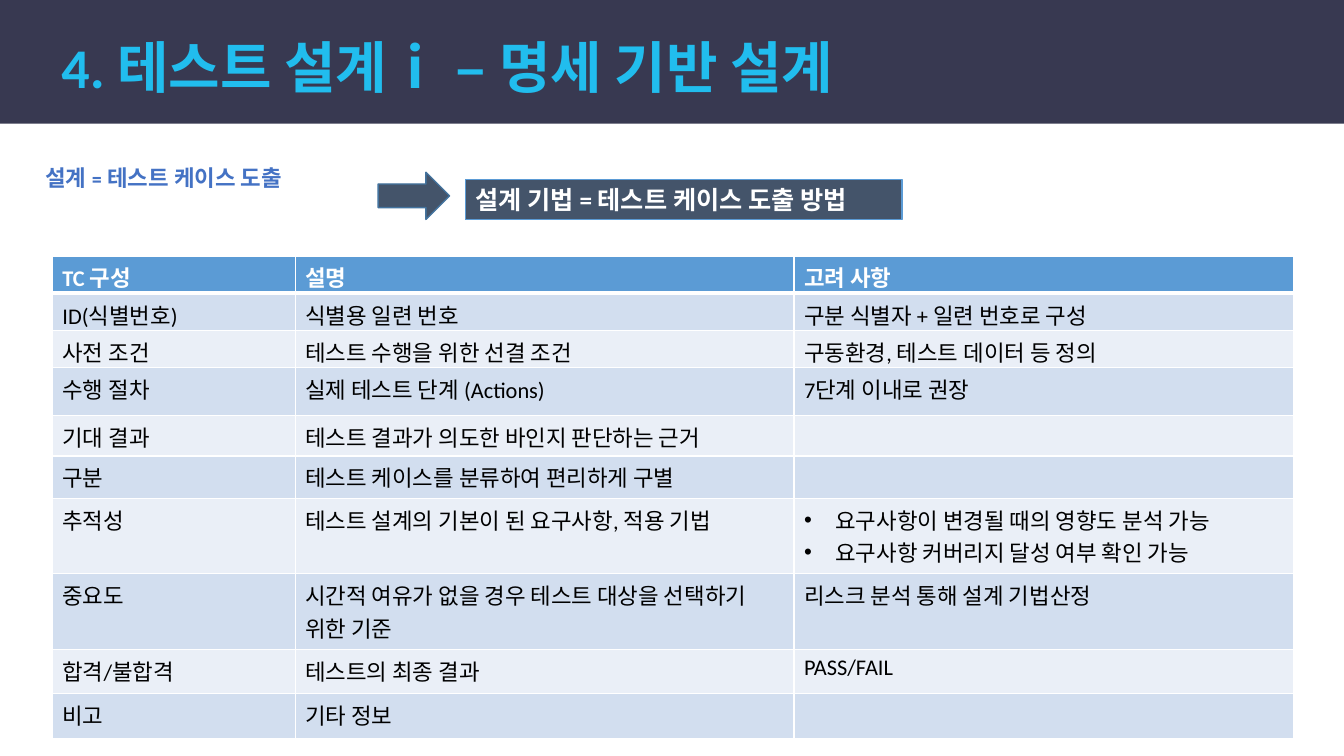
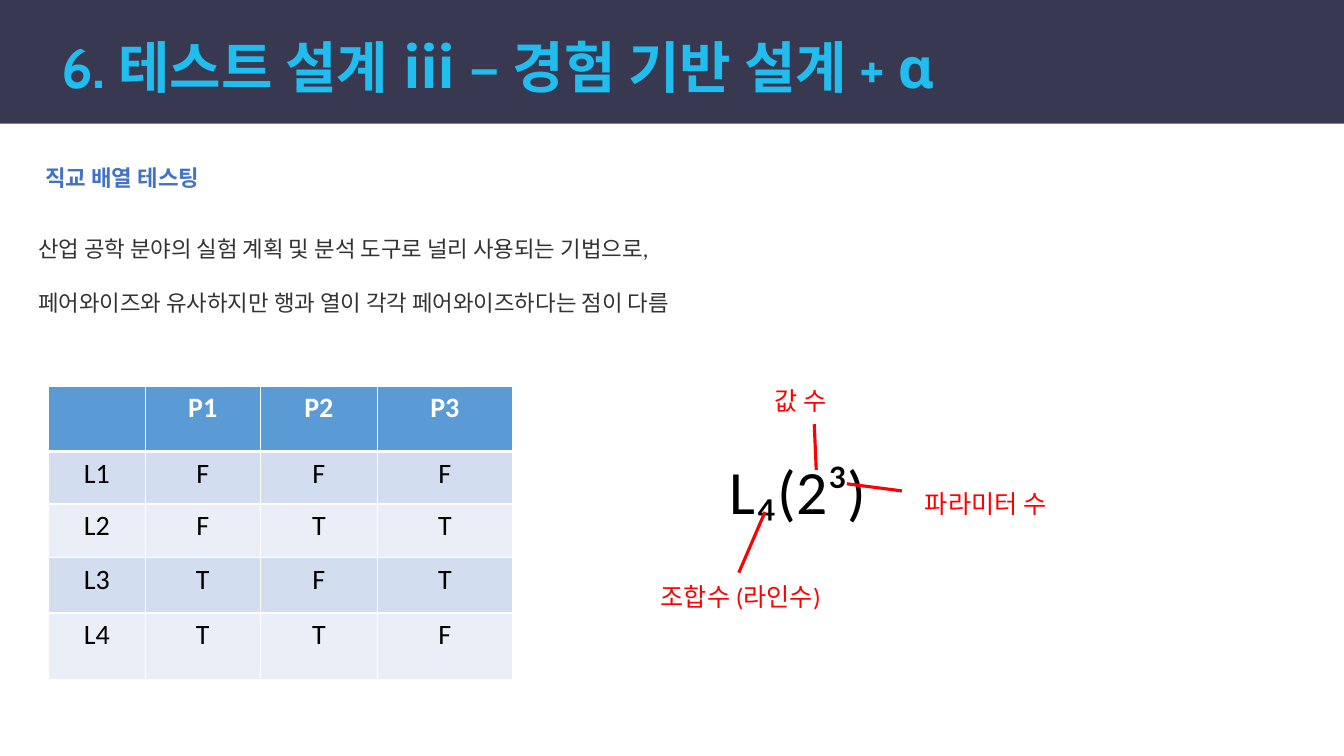
from lxml.etree import SubElement
from pptx import Presentation
from pptx.dml.color import RGBColor
from pptx.enum.shapes import MSO_CONNECTOR, MSO_SHAPE
from pptx.enum.text import MSO_ANCHOR, PP_ALIGN
from pptx.oxml.ns import qn
from pptx.util import Cm, Pt

# Shared look
SLIDE_WIDTH, SLIDE_HEIGHT = 33.87, 19.05
BAND_HEIGHT = 3.12
COLORS = {
    "band": "383951", "title": "21BDEE", "heading": "4472C4", "body": "333333",
    "slate": "44546A", "arrow_edge": "43739E", "header": "5B9BD5",
    "row_dark": "D2DEEF", "row_light": "EAEFF7",
    "white": "FFFFFF", "black": "000000", "red": "FF0000",
}
TITLE = {"name": "Calibri", "size": Pt(40), "bold": True, "color": "title"}
HEADING = {"name": "Cabin", "size": Pt(16), "bold": True, "color": "heading"}
BODY = {"name": "Lato", "size": Pt(16), "bold": False, "color": "body"}
METHOD = {"name": "Calibri", "size": Pt(18), "bold": True, "color": "white"}
CELL = {"name": "Calibri", "size": Pt(16), "bold": False, "color": "black"}
FORMULA = {"name": "Calibri", "size": Pt(44), "bold": False, "color": "black"}
LABEL = {"name": "Calibri", "size": Pt(18), "bold": False, "color": "red"}

# Slide content
TEST_CASE_ROWS = [
    ["TC 구성", "설명", "고려 사항"],
    ["ID(식별번호)", "식별용 일련 번호", "구분 식별자 + 일련 번호로 구성"],
    ["사전 조건", "테스트 수행을 위한 선결 조건", "구동환경, 테스트 데이터 등 정의"],
    ["수행 절차", "실제 테스트 단계 (Actions)", "7단계 이내로 권장"],
    ["기대 결과", "테스트 결과가 의도한 바인지 판단하는 근거", ""],
    ["구분", "테스트 케이스를 분류하여 편리하게 구별", ""],
    ["추적성", "테스트 설계의 기본이 된 요구사항, 적용 기법",
     ["요구사항이 변경될 때의 영향도 분석 가능", "요구사항 커버리지 달성 여부 확인 가능"]],
    ["중요도", "시간적 여유가 없을 경우 테스트 대상을 선택하기 위한 기준",
     "리스크 분석 통해 설계 기법산정"],
    ["합격/불합격", "테스트의 최종 결과", "PASS/FAIL"],
    ["비고", "기타 정보", ""],
]
ARRAY_ROWS = [
    ["", "P1", "P2", "P3"],
    ["L1", "F", "F", "F"],
    ["L2", "F", "T", "T"],
    ["L3", "T", "F", "T"],
    ["L4", "T", "T", "F"],
]


def color(hex_value):
    return RGBColor.from_string(hex_value)


def set_attributes(target, values):
    for name, value in values.items():
        setattr(target, name, value)


def write(paragraph, text, style):
    """Add one run of text in the given style."""
    run = paragraph.add_run()
    run.text = text
    set_attributes(run.font, {key: value for key, value in style.items() if key != "color"})
    run.font.color.rgb = color(COLORS[style["color"]])


def add_text(slide, box, lines, style, gap=0):
    """Place a wrapped text box with one paragraph for each line."""
    frame = slide.shapes.add_textbox(*map(Cm, box)).text_frame
    frame.word_wrap = True
    for index, line in enumerate(lines):
        paragraph = frame.add_paragraph() if index else frame.paragraphs[0]
        if index:
            paragraph.space_before = Pt(gap)
        write(paragraph, line, style)
    return frame


def add_box(slide, kind, box, fill, edge=None):
    """Place a flat preset shape, with a thin outline if an edge is named."""
    shape = slide.shapes.add_shape(kind, *map(Cm, box))
    shape.shadow.inherit = False
    shape.fill.solid()
    shape.fill.fore_color.rgb = color(COLORS[fill])
    if edge:
        shape.line.color.rgb = color(COLORS[edge])
        shape.line.width = Pt(1)
    else:
        shape.line.fill.background()
    return shape


def add_header(slide, title, font):
    """Title band across the top of the slide."""
    add_box(slide, MSO_SHAPE.RECTANGLE, (0, 0, SLIDE_WIDTH, BAND_HEIGHT), "band")
    frame = add_text(slide, (1.55, 0.99, 31, 1.55), [title], {**TITLE, "name": font})
    set_attributes(frame, {
        "margin_left": 0, "margin_right": 0, "margin_top": 0, "margin_bottom": 0,
        "vertical_anchor": MSO_ANCHOR.MIDDLE,
    })
    frame.paragraphs[0].line_spacing = 0.9


def add_bullet(paragraph):
    properties = paragraph._p.get_or_add_pPr()
    indent = Cm(0.79)
    properties.set("marL", str(indent))
    properties.set("indent", str(-indent))
    SubElement(properties, qn("a:buFont"), typeface="Arial")
    SubElement(properties, qn("a:buChar"), char="•")


def add_borders(cell, is_header, below_header):
    """White cell edges, with a heavy rule under the header."""
    properties = cell._tc.get_or_add_tcPr()
    widths = {"lnL": 1, "lnR": 1, "lnT": 3 if below_header else 1, "lnB": 3 if is_header else 1}
    for side, width in widths.items():
        line = SubElement(properties, qn(f"a:{side}"), w=str(Pt(width)))
        fill = SubElement(line, qn("a:solidFill"))
        SubElement(fill, qn("a:srgbClr"), val=COLORS["white"])


def add_grid(slide, left, top, column_widths, row_heights, rows, size, alignment):
    """Banded table whose first row is the header."""
    table = slide.shapes.add_table(
        len(rows), len(column_widths), Cm(left), Cm(top),
        Cm(sum(column_widths)), Cm(sum(row_heights))).table
    for column, width in zip(table.columns, column_widths):
        column.width = Cm(width)
    for row_index, (row, height) in enumerate(zip(rows, row_heights)):
        table.rows[row_index].height = Cm(height)
        is_header = row_index == 0
        band = "header" if is_header else "row_dark" if row_index % 2 else "row_light"
        style = {**CELL, "size": Pt(size), "bold": is_header,
                 "color": "white" if is_header else "black"}
        for column_index, content in enumerate(row):
            cell = table.cell(row_index, column_index)
            add_borders(cell, is_header, row_index == 1)
            cell.fill.solid()
            cell.fill.fore_color.rgb = color(COLORS[band])
            is_list = isinstance(content, list)
            for index, line in enumerate(content if is_list else [content]):
                frame = cell.text_frame
                paragraph = frame.add_paragraph() if index else frame.paragraphs[0]
                paragraph.alignment = alignment
                if is_list:
                    add_bullet(paragraph)
                if line:
                    write(paragraph, line, style)


def add_method_banner(slide, left, top):
    """Arrow that leads to the boxed definition."""
    add_box(slide, MSO_SHAPE.RIGHT_ARROW, (left, top, 1.8, 1.19), "slate", "arrow_edge")
    box = (left + 2.2, top + 0.18, 11, 1.02)
    shape = add_box(slide, MSO_SHAPE.RECTANGLE, box, "slate", "header")
    shape.text_frame.vertical_anchor = MSO_ANCHOR.TOP
    paragraph = shape.text_frame.paragraphs[0]
    paragraph.alignment = PP_ALIGN.LEFT
    write(paragraph, "설계 기법 = 테스트 케이스 도출 방법", METHOD)


def add_notation(slide, left, top):
    """Array notation with a red callout for each of its parts."""
    add_text(slide, (left + 1.74, top + 1.72, 6.4, 2.13), ["L₄(2³)"], FORMULA)
    callouts = [
        ("조합수 (라인수)", (0, 4.95), 5.8, (2.88, 3.32), (2.22, 4.85)),
        ("값 수", (2.88, 0), 5.16, (4.12, 1.11), (4.17, 2.26)),
        ("파라미터 수", (6.66, 2.61), 5.16, (6.33, 2.79), (4.94, 2.61)),
    ]
    for text, (x, y), width, start, end in callouts:
        points = (left + start[0], top + start[1], left + end[0], top + end[1])
        line = slide.shapes.add_connector(MSO_CONNECTOR.STRAIGHT, *map(Cm, points))
        line.line.color.rgb = color(COLORS["red"])
        line.line.width = Pt(2.25)
        SubElement(line._element.spPr, qn("a:effectLst"))
        add_text(slide, (left + x, top + y, width, 1.02), [text], LABEL)


def add_slide(presentation, title, font, heading):
    """Blank slide with the shared header and subheading."""
    slide = presentation.slides.add_slide(presentation.slide_layouts[6])
    add_header(slide, title, font)
    add_text(slide, (0.89, 4.01, 25.4, 0.94), [heading], HEADING)
    return slide


def build_specification_slide(presentation):
    slide = add_slide(presentation, "4. 테스트 설계ⅰ – 명세 기반 설계", "Calibri",
                      "설계 = 테스트 케이스 도출")
    add_method_banner(slide, 9.53, 4.34)
    # The two rows that hold two lines of text are taller
    add_grid(slide, 1.32, 6.45, [6.12, 12.57, 12.6],
             [0.94] * 3 + [1.19, 1.03, 1.07] + [1.9] * 2 + [1.12] * 2,
             TEST_CASE_ROWS, 16, PP_ALIGN.LEFT)


def build_experience_slide(presentation):
    slide = add_slide(presentation, "6. 테스트 설계 ⅲ – 경험 기반 설계 + ɑ", "Cabin",
                      "직교 배열 테스팅")
    add_text(slide, (0.71, 5.79, 18.57, 2.31), [
        "산업 공학 분야의 실험 계획 및 분석 도구로 널리 사용되는 기법으로,",
        "페어와이즈와 유사하지만 행과 열이 각각 페어와이즈하다는 점이 다름",
    ], BODY, gap=20)
    add_grid(slide, 1.22, 9.73, [2.44, 2.9, 2.95, 3.4], [1.65, 1.32, 1.35, 1.4, 1.68],
             ARRAY_ROWS, 20, PP_ALIGN.CENTER)
    add_notation(slide, 16.4, 9.58)


def main():
    presentation = Presentation()
    set_attributes(presentation, {
        "slide_width": Cm(SLIDE_WIDTH), "slide_height": Cm(SLIDE_HEIGHT)})
    build_specification_slide(presentation)
    build_experience_slide(presentation)
    presentation.save("out.pptx")


if __name__ == "__main__":
    main()
